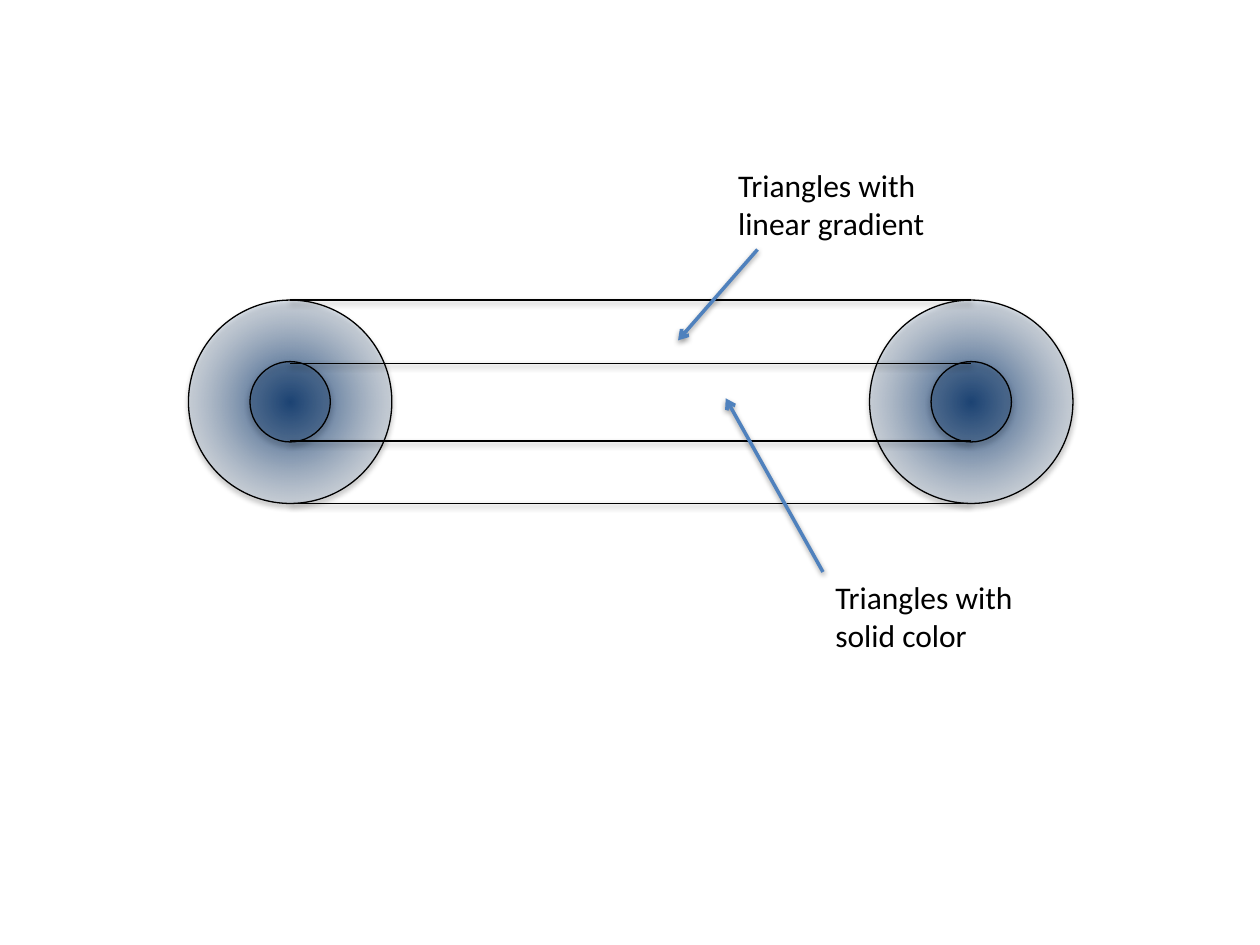
"""Draw a thick line with round caps, built from gradient and solid parts."""
from lxml.etree import SubElement
from pptx import Presentation
from pptx.dml.color import RGBColor
from pptx.enum.shapes import MSO_CONNECTOR, MSO_SHAPE
from pptx.oxml import parse_xml
from pptx.oxml.ns import nsdecls, qn
from pptx.util import Cm, Pt

HUES = {"navy": "1F497D", "blue": "4F81BD", "black": "000000", "white": "FFFFFF"}


def style(shape, hue, width, alpha, drop):
    shape.line.color.rgb = RGBColor.from_string(HUES[hue])
    shape.line.width = Pt(width)
    shape._element.spPr.append(parse_xml(
        f'<a:effectLst {nsdecls("a")}><a:outerShdw blurRad="{Pt(3.15)}" dist="{Pt(drop)}" '
        f'dir="5400000" rotWithShape="0"><a:srgbClr val="{HUES["black"]}">'
        f'<a:alpha val="{alpha * 1000}"/></a:srgbClr></a:outerShdw></a:effectLst>'))


def join(start, end, hue, width):
    line = slide.shapes.add_connector(
        MSO_CONNECTOR.STRAIGHT, *[Cm(n) for n in (*start, *end)])
    style(line, hue, width, 38, 1.57)
    return line


deck = Presentation()
deck.slide_width, deck.slide_height = Cm(25.4), Cm(19.05)
slide = deck.slides.add_slide(deck.slide_layouts[6])

left, right, mid = 5.85, 19.58, 8.1
outer, inner = 2.05, 0.81
glow = (
    f'<a:gradFill {nsdecls("a")} rotWithShape="1"><a:gsLst>'
    f'<a:gs pos="0"><a:srgbClr val="{HUES["navy"]}"/></a:gs>'
    f'<a:gs pos="100000"><a:srgbClr val="{HUES["white"]}"><a:alpha val="32000"/></a:srgbClr></a:gs>'
    '</a:gsLst><a:path path="circle">'
    '<a:fillToRect l="50000" t="50000" r="50000" b="50000"/></a:path></a:gradFill>')

for x in (left, right):
    for size in (outer, inner):
        disc = slide.shapes.add_shape(
            MSO_SHAPE.OVAL, Cm(x - size), Cm(mid - size), Cm(2 * size), Cm(2 * size))
        disc.fill.solid()
        disc.fill.fore_color.rgb = RGBColor.from_string(HUES["navy"])
        paint = disc._element.spPr.find(qn("a:solidFill"))
        if size == outer:
            disc._element.spPr.replace(paint, parse_xml(glow))
        else:
            SubElement(paint[0], qn("a:alpha"), val="30000")
        style(disc, "black", 0.75, 35, 1.8)

for y in (mid - outer, mid + outer, 7.33, 8.89):
    join((left, y), (right, y), "black", 1)

notes = [
    ("Triangles with linear gradient", (14.63, 3.23), (15.27, 5.03), (13.67, 6.86)),
    ("Triangles with solid color", (16.59, 11.53), (16.59, 11.53), (14.63, 8.03)),
]
for text, spot, start, end in notes:
    arrow = join(start, end, "blue", 2)
    SubElement(arrow.line._get_or_add_ln(), qn("a:tailEnd"), type="arrow")
    box = slide.shapes.add_textbox(*[Cm(n) for n in (*spot, 4.95, 1.8)])
    box.text_frame.word_wrap = True
    label = box.text_frame.paragraphs[0]
    label.text = text
    label.font.name = "Calibri"
    label.font.size = Pt(18)
    label.font.color.rgb = RGBColor.from_string(HUES["black"])

deck.save("out.pptx")
